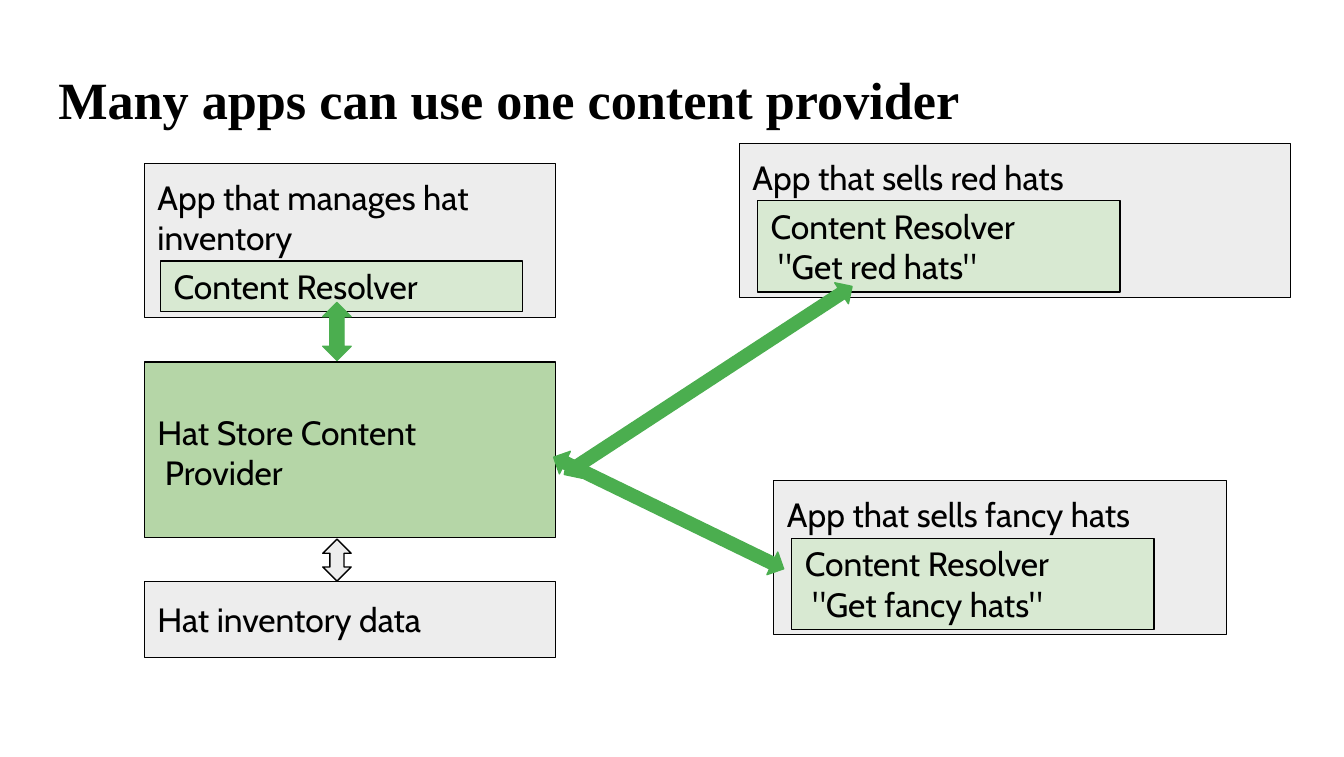
"""Build a slide showing several apps sharing one content provider."""
from math import atan2, degrees, hypot
from typing import NamedTuple

from pptx import Presentation
from pptx.dml.color import RGBColor
from pptx.enum.shapes import MSO_SHAPE
from pptx.enum.text import MSO_ANCHOR, PP_ALIGN
from pptx.util import Pt

RECTANGLE = MSO_SHAPE.RECTANGLE
DOUBLE_ARROW = MSO_SHAPE.LEFT_RIGHT_ARROW
TOP, MIDDLE = MSO_ANCHOR.TOP, MSO_ANCHOR.MIDDLE
LEFT = PP_ALIGN.LEFT

BLACK = "000000"
GREY = "EDEDED"
PALE_GREEN = "D8E9D2"
PROVIDER_GREEN = "B5D6A7"
ARROW_GREEN = "4BAE4F"


class Box(NamedTuple):
    text: str
    left: float
    top: float
    width: float
    height: float
    fill: str
    inset: float
    hanging: float = 0


class Arrow(NamedTuple):
    x1: float
    y1: float
    x2: float
    y2: float
    thickness: float
    fill: str
    line: str


def resolver(text: str, left: float, top: float, height: float) -> Box:
    return Box(text, left, top, 194.2, height, PALE_GREEN, 2.7, 4)


BOXES = [
    Box("App that manages hat\vinventory", 77.3, 87.6, 220.3, 82.6, GREY, 7.2),
    Box("Hat Store Content\vProvider", 77.3, 193.9, 220.3, 93.8, PROVIDER_GREEN, 26.5, 4),
    Box("Hat inventory data", 77.3, 311.4, 220.3, 40.8, GREY, 9.5),
    Box("App that sells red hats", 396, 76.8, 295.4, 82.6, GREY, 7.2),
    Box("App that sells fancy hats", 414.5, 257.2, 242.6, 82.6, GREY, 7.2),
    resolver("Content Resolver", 85.9, 139.8, 27),
    resolver("Content Resolver\v\"Get red hats\"", 405.8, 107.4, 49),
    resolver("Content Resolver\v\"Get fancy hats\"", 424.1, 288.2, 49),
]

ARROWS = [
    Arrow(180.5, 288.7, 180.5, 311.2, 15.2, GREY, BLACK),
    Arrow(302.3, 254.1, 456.5, 153.4, 13.4, ARROW_GREEN, ARROW_GREEN),
    Arrow(296.6, 244.8, 419.8, 304.6, 13.4, ARROW_GREEN, ARROW_GREEN),
    Arrow(180.5, 162, 180.5, 193, 15.2, ARROW_GREEN, ARROW_GREEN),
]


def color(value: str) -> RGBColor:
    return RGBColor.from_string(value)


def style_shape(shape, fill: str, line: str) -> None:
    shape.shadow.inherit = False
    shape.fill.solid()
    shape.fill.fore_color.rgb = color(fill)
    shape.line.color.rgb = color(line)
    shape.line.width = Pt(0.75)


def style_font(font, name: str, size: float, bold: bool = False) -> None:
    font.name = name
    font.size = Pt(size)
    font.bold = bold
    font.color.rgb = color(BLACK)


def add_box(slide, box: Box) -> None:
    shape = slide.shapes.add_shape(
        RECTANGLE, Pt(box.left), Pt(box.top), Pt(box.width), Pt(box.height))
    style_shape(shape, box.fill, BLACK)
    frame = shape.text_frame
    frame.word_wrap = True
    frame.vertical_anchor = TOP
    frame.margin_left = Pt(7.2)
    frame.margin_top = Pt(box.inset)
    frame.margin_right = frame.margin_bottom = 0
    frame.text = box.text
    paragraph = frame.paragraphs[0]
    paragraph.alignment = LEFT
    if box.hanging:
        properties = paragraph._p.get_or_add_pPr()
        properties.set("marL", str(Pt(box.hanging)))
        properties.set("indent", str(-Pt(box.hanging)))
    style_font(paragraph.font, "Cabin", 18)


def add_arrow(slide, arrow: Arrow) -> None:
    run, rise = arrow.x2 - arrow.x1, arrow.y2 - arrow.y1
    length = hypot(run, rise)
    left = (arrow.x1 + arrow.x2 - length) / 2
    top = (arrow.y1 + arrow.y2 - arrow.thickness) / 2
    shape = slide.shapes.add_shape(
        DOUBLE_ARROW, Pt(left), Pt(top), Pt(length), Pt(arrow.thickness))
    shape.rotation = degrees(atan2(rise, run))
    style_shape(shape, arrow.fill, arrow.line)


def add_title(slide, text: str) -> None:
    title = slide.shapes.title
    title.left, title.top = Pt(24), Pt(28.8)
    title.width, title.height = Pt(648), Pt(48)
    title.text_frame.text = text
    title.text_frame.vertical_anchor = MIDDLE
    paragraph = title.text_frame.paragraphs[0]
    paragraph.alignment = LEFT
    style_font(paragraph.font, "Times New Roman", 28, bold=True)


def main() -> None:
    presentation = Presentation()
    presentation.slide_width, presentation.slide_height = Pt(720), Pt(405.36)
    slide = presentation.slides.add_slide(presentation.slide_layouts[5])
    add_title(slide, "Many apps can use one content provider")
    for box in BOXES:
        add_box(slide, box)
    for arrow in ARROWS:
        add_arrow(slide, arrow)
    presentation.save("out.pptx")


if __name__ == "__main__":
    main()
